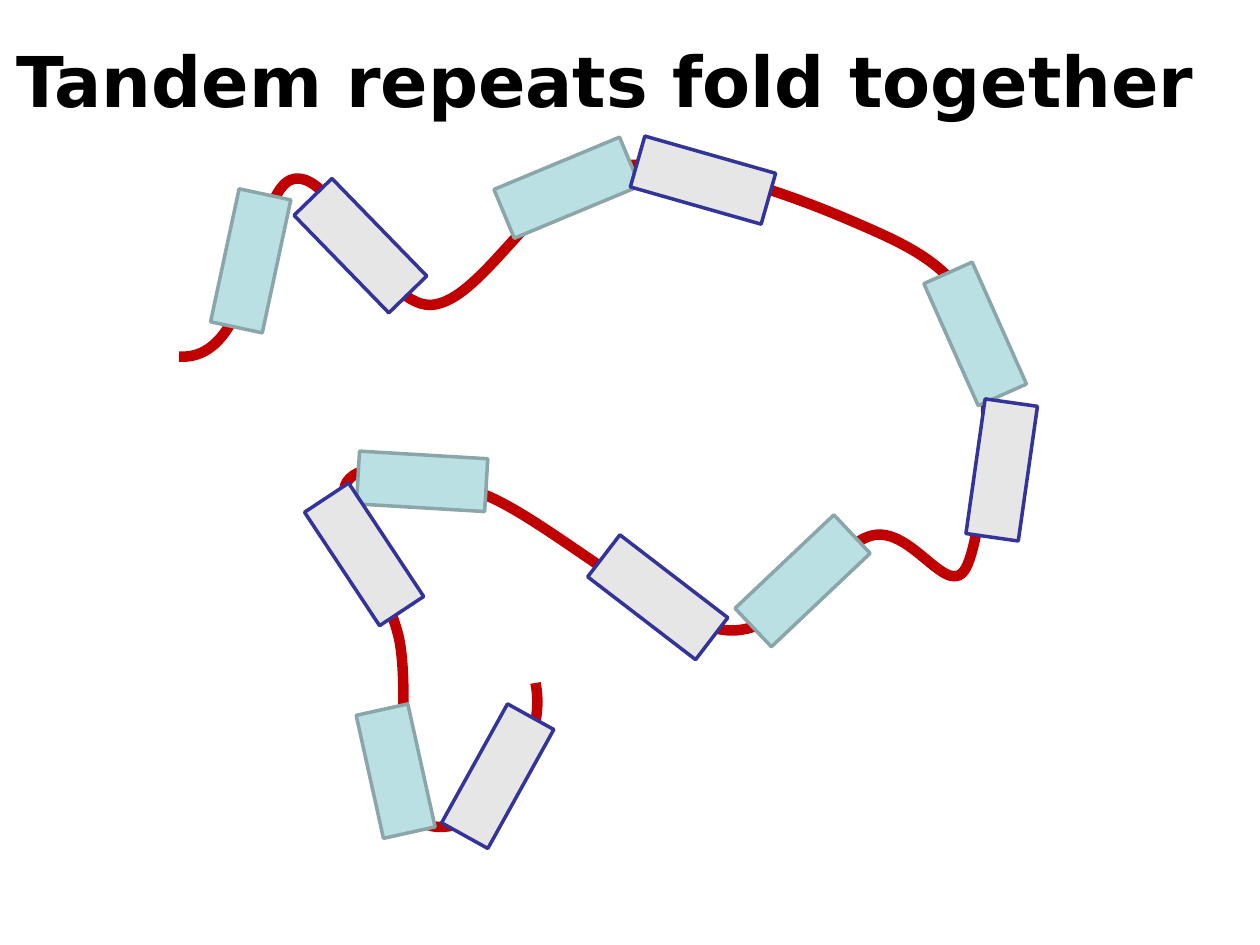
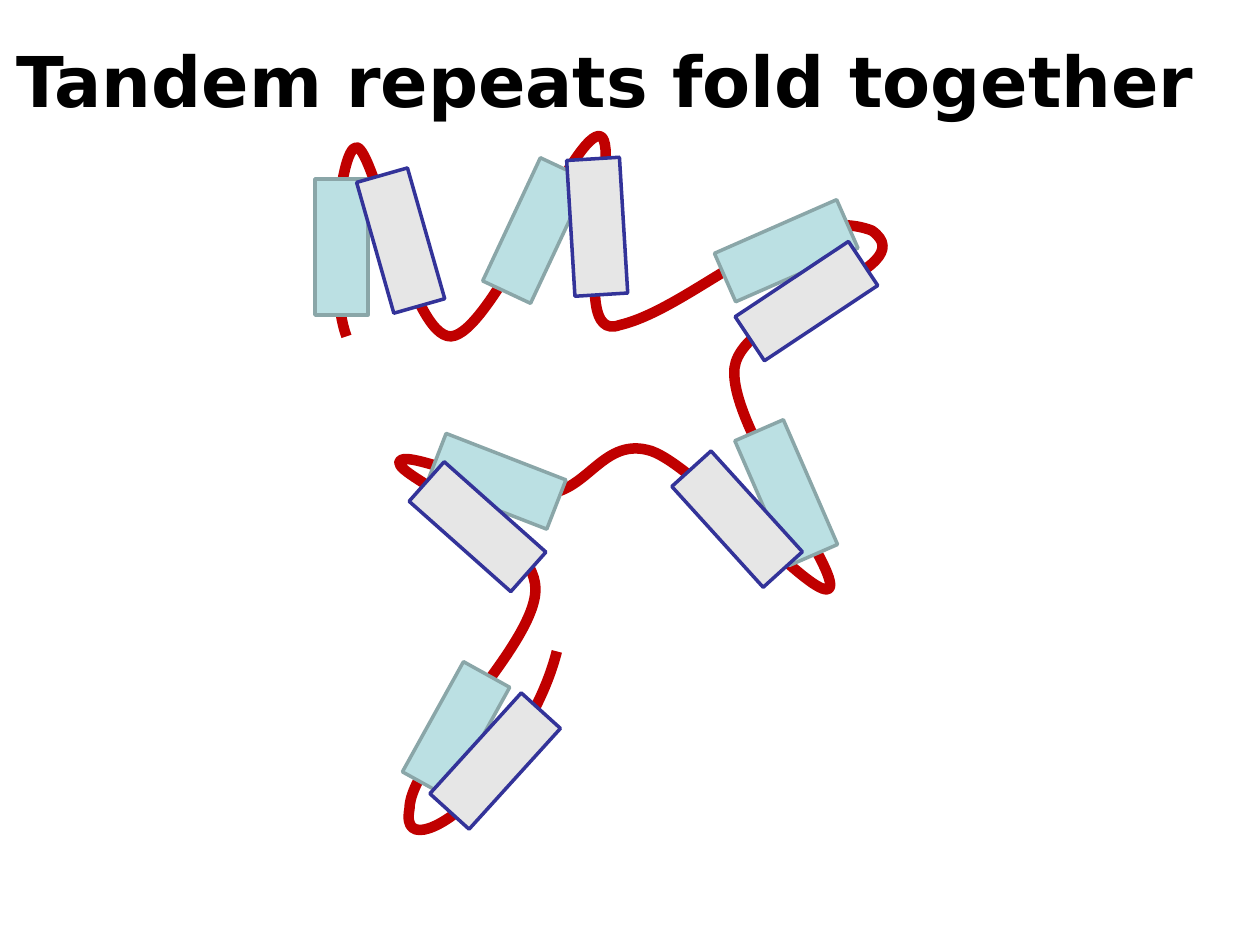
import pptx
import pptx.dml.color
import pptx.enum.shapes
import pptx.enum.text
import pptx.oxml.ns
import pptx.oxml.xmlchemy
import pptx.util
from pptx.util import Inches

COLOURS = {
    "chain": "C00000",
    "title": "000000",
    "first fill": "BBE0E3",
    "first line": "8AA6A8",
    "second fill": "E6E6E6",
    "second line": "333399",
}
TITLE = "Tandem repeats fold together"
FONT = "DejaVu Sans"
TITLE_BOX = (0, 0.25, 9.6, 0.77)
DRAWING_BOX = (0, 0, 10, 7.5)
REPEAT_LENGTH, REPEAT_WIDTH = 1.08, 0.42

# Chains: a start point, then rows of two control points and an end point.
# Repeats: left, top, rotation and, where it differs, length.
UNFOLDED = {
    "chain": [
        (1.42, 2.83),
        (2.06, 2.87), (2, 1.49), (2.33, 1.42),
        (2.67, 1.35), (3, 2.43), (3.42, 2.42),
        (3.83, 2.4), (4.28, 1.44), (4.83, 1.33),
        (5.39, 1.22), (6.26, 1.54), (6.75, 1.75),
        (7.24, 1.96), (7.6, 2.12), (7.75, 2.58),
        (7.9, 3.04), (7.81, 4.22), (7.67, 4.5),
        (7.53, 4.78), (7.24, 4.17), (6.92, 4.25),
        (6.6, 4.33), (6.26, 5.06), (5.75, 5),
        (5.24, 4.94), (4.33, 4.11), (3.83, 3.92),
        (3.33, 3.72), (2.86, 3.64), (2.75, 3.83),
        (2.64, 4.03), (3.08, 4.65), (3.17, 5.08),
        (3.25, 5.51), (3.14, 6.19), (3.25, 6.42),
        (3.36, 6.64), (3.67, 6.58), (3.83, 6.42),
        (4, 6.25), (4.34, 5.87), (4.25, 5.42),
    ],
    "first": [
        (1.45, 1.86, 282.1), (3.96, 1.28, 337.4), (7.21, 2.44, 66, 1.06),
        (5.83, 4.4, 136.6), (2.64, 5.91, 257.5, 1), (2.84, 3.61, 3.4, 1.02),
    ],
    "second": [
        (2.32, 1.74, 45.8), (5.04, 1.22, 15.9), (7.41, 3.52, 98.1),
        (4.68, 4.53, 217.5), (2.35, 4.19, 56.5), (3.41, 5.95, 299),
    ],
}
FOLDED = {
    "chain": [
        (2.75, 2.67),
        (2.6, 2.26), (2.69, 1.17), (2.83, 1.17),
        (2.97, 1.17), (3.26, 2.68), (3.58, 2.67),
        (3.9, 2.65), (4.53, 1.1), (4.75, 1.08),
        (4.97, 1.07), (4.46, 2.75), (4.92, 2.58),
        (5.51, 2.44), (6.29, 1.59), (6.92, 1.83),
        (7.37, 2.15), (5.89, 2.44), (5.83, 2.92),
        (5.78, 3.39), (6.69, 4.56), (6.58, 4.67),
        (6.47, 4.78), (5.54, 3.71), (5.17, 3.58),
        (4.79, 3.46), (4.67, 3.9), (4.33, 3.92),
        (4, 3.93), (3.18, 3.54), (3.17, 3.67),
        (3.15, 3.79), (4.24, 4.21), (4.25, 4.67),
        (4.26, 5.12), (3.25, 6.03), (3.25, 6.42),
        (3.19, 6.74), (3.56, 6.54), (3.75, 6.33),
        (3.94, 6.12), (4.29, 5.68), (4.42, 5.17),
    ],
    "first": [
        (2.17, 1.75, 270), (3.71, 1.62, 295.1), (5.71, 1.78, 336.3, 1.06),
        (5.7, 3.7, 66.5), (3.12, 5.58, 299, 1), (3.43, 3.61, 21.2, 1.02),
    ],
    "second": [
        (2.64, 1.7, 74.1), (4.2, 1.59, 86.5), (5.86, 2.18, 146.4),
        (5.31, 3.91, 227.8), (3.25, 3.97, 41.6), (3.39, 5.83, 312.2),
    ],
}


def colour(name):
    return pptx.dml.color.RGBColor.from_string(COLOURS[name])


def set_line(shape, name, points):
    shape.line.color.rgb = colour(name)
    shape.line.width = pptx.util.Pt(points)
    shape.shadow.inherit = False


def add_title(page, box):
    text_box = page.shapes.add_textbox(*map(Inches, box))
    frame = text_box.text_frame
    frame.word_wrap = False
    frame.auto_size = pptx.enum.text.MSO_AUTO_SIZE.SHAPE_TO_FIT_TEXT
    para = frame.paragraphs[0]
    para.text = TITLE
    para.alignment = pptx.enum.text.PP_ALIGN.CENTER
    para.font.name = FONT
    para.font.size = pptx.util.Pt(40)
    para.font.bold = True
    para.font.color.rgb = colour("title")


def bend_segments(shape):
    """Join every three straight segments into one cubic curve."""
    name = pptx.oxml.ns.qn
    segments = list(shape._element.iter(name("a:lnTo")))
    for start in range(0, len(segments), 3):
        curve = segments[start]
        curve.tag = name("a:cubicBezTo")
        for segment in segments[start + 1:start + 3]:
            curve.append(segment[0])
            segment.getparent().remove(segment)


def add_chain(page, box, points):
    places = [(Inches(box[0] + x), Inches(box[1] + y)) for x, y in points]
    builder = page.shapes.build_freeform(*places[0])
    builder.add_line_segments(places[1:], close=False)
    chain = builder.convert_to_shape()
    bend_segments(chain)
    chain.fill.background()
    set_line(chain, "chain", 6)


def add_repeat(page, box, kind, left, top, rotation, length=REPEAT_LENGTH):
    repeat = page.shapes.add_shape(
        pptx.enum.shapes.MSO_SHAPE.RECTANGLE,
        Inches(box[0] + left), Inches(box[1] + top),
        Inches(length), Inches(REPEAT_WIDTH))
    repeat.rotation = rotation
    repeat.fill.solid()
    repeat.fill.fore_color.rgb = colour(f"{kind} fill")
    set_line(repeat, f"{kind} line", 2)


def add_protein(page, box, protein):
    add_chain(page, box, protein["chain"])
    for kind in ("first", "second"):
        for place in protein[kind]:
            add_repeat(page, box, kind, *place)


def main():
    deck = pptx.Presentation()
    deck.slide_width, deck.slide_height = Inches(10), Inches(7.5)
    for protein in (UNFOLDED, FOLDED):
        page = deck.slides.add_slide(deck.slide_layouts[6])
        add_title(page, TITLE_BOX)
        add_protein(page, DRAWING_BOX, protein)
    deck.save("out.pptx")


if __name__ == "__main__":
    main()
